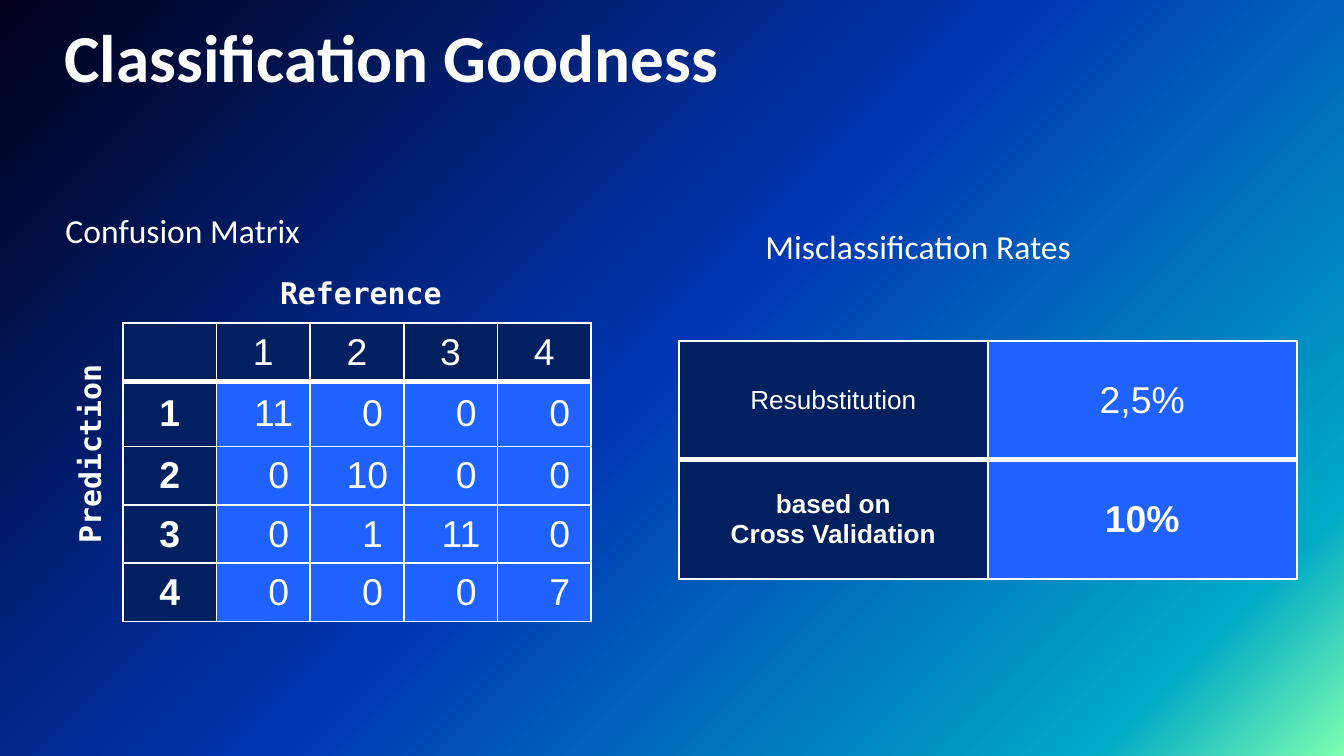
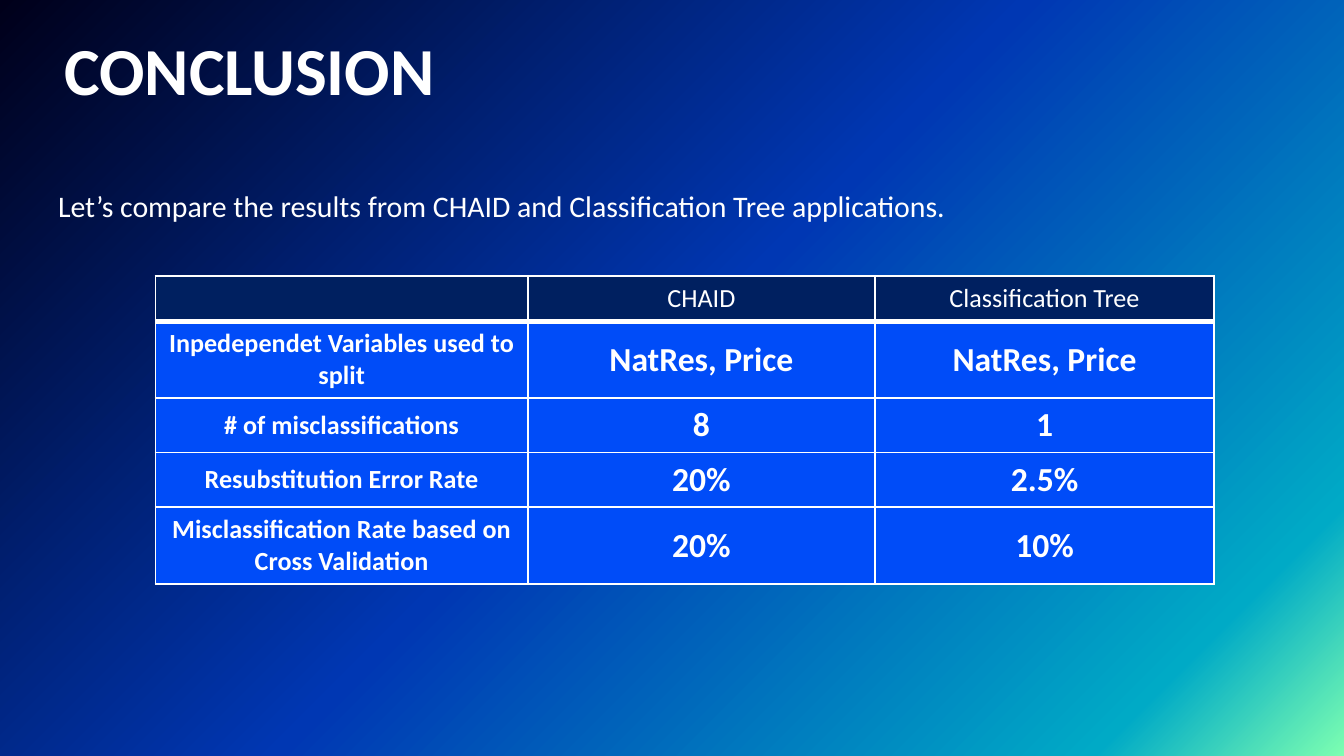
from lxml.etree import SubElement
from pptx import Presentation
from pptx.dml.color import RGBColor
from pptx.enum.text import MSO_ANCHOR, MSO_AUTO_SIZE, PP_ALIGN
from pptx.oxml.ns import qn
from pptx.util import Pt

WHITE = RGBColor(0xFF, 0xFF, 0xFF)
NAVY = RGBColor(0x00, 0x20, 0x60)
BRIGHT_BLUE = RGBColor(0x1F, 0x62, 0xFF)
ROYAL_BLUE = RGBColor(0x00, 0x4C, 0xF8)
MINT = RGBColor(0x7D, 0xFF, 0xB1)
TURQUOISE = RGBColor(0x00, 0xAA, 0xC6)
DEEP_BLUE = RGBColor(0x00, 0x37, 0xB3)
MIDNIGHT = RGBColor(0x00, 0x00, 0x1A)

BACKGROUND_STOPS = [(0, MINT), (12, TURQUOISE), (51, DEEP_BLUE), (100, MIDNIGHT)]
BODY_FONT = "Calibri"
TABLE_FONT = "Arial"
AXIS_FONT = "DejaVu Sans Mono"
CELL_MARGIN = 7.2
DIGIT_INDENT = 5.56


def add_color(parent, color):
    SubElement(parent, qn("a:srgbClr"), val=str(color))


def set_borders(cell, bottom_width):
    properties = cell._tc.get_or_add_tcPr()
    for side, width in (("L", 1), ("R", 1), ("T", 1), ("B", bottom_width)):
        line = SubElement(properties, qn(f"a:ln{side}"), w=str(Pt(width)))
        add_color(SubElement(line, qn("a:solidFill")), WHITE)


class Deck:
    def __init__(self):
        self.presentation = Presentation()
        self.presentation.slide_width = Pt(720)
        self.presentation.slide_height = Pt(405)
        self.slide = None
        self.paint_background()

    def paint_background(self):
        master = self.presentation.slide_master
        fill = master.background.fill
        fill.gradient()
        fill.gradient_angle = 135
        stops = master.element.xpath("p:cSld/p:bg//a:gsLst")[0]
        stops.clear()
        for percent, color in BACKGROUND_STOPS:
            add_color(SubElement(stops, qn("a:gs"), pos=str(percent * 1000)), color)

    def style(self, paragraph, size, font=BODY_FONT, bold=False, align=PP_ALIGN.LEFT):
        paragraph.alignment = align
        paragraph.font.name = font
        paragraph.font.size = Pt(size)
        paragraph.font.bold = bold
        paragraph.font.color.rgb = WHITE

    def place(self, shape, left, top, width, height):
        shape.left, shape.top = Pt(left), Pt(top)
        shape.width, shape.height = Pt(width), Pt(height)

    def add_slide(self, title, top, width, height):
        layout = self.presentation.slide_layouts.get_by_name("Title Only")
        self.slide = self.presentation.slides.add_slide(layout)
        heading = self.slide.shapes.title
        self.place(heading, 34.5, top, width, height)
        frame = heading.text_frame
        frame.text = title
        frame.auto_size = MSO_AUTO_SIZE.NONE
        frame.vertical_anchor = MSO_ANCHOR.TOP
        frame.margin_left = frame.margin_right = 0
        frame.margin_top = frame.margin_bottom = 0
        self.style(frame.paragraphs[0], 36, bold=True)

    def add_text(self, text, left, top, width, height, size=18,
                 font=BODY_FONT, bold=False, rotation=0):
        box = self.slide.shapes.add_textbox(Pt(left), Pt(top), Pt(width), Pt(height))
        box.rotation = rotation
        box.text_frame.word_wrap = True
        box.text_frame.text = text
        paragraph = box.text_frame.paragraphs[0]
        self.style(paragraph, size, font, bold)
        return paragraph

    def add_table(self, rows, left, top, widths, heights, font, cell_style):
        """Fill a table; cell_style(row, column) gives fill, text size and bold."""
        frame = self.slide.shapes.add_table(
            len(rows), len(widths), Pt(left), Pt(top), Pt(sum(widths)), Pt(sum(heights)))
        table = frame.table
        table.first_row = table.horz_banding = False
        for column, width in zip(table.columns, widths):
            column.width = Pt(width)
        for r, (row, height) in enumerate(zip(rows, heights)):
            table.rows[r].height = Pt(height)
            for c, text in enumerate(row):
                cell = table.cell(r, c)
                fill, size, bold = cell_style(r, c)
                set_borders(cell, 1 if r else 3)
                cell.fill.solid()
                cell.fill.fore_color.rgb = fill
                cell.vertical_anchor = MSO_ANCHOR.MIDDLE
                cell.text = text
                for paragraph in cell.text_frame.paragraphs:
                    self.style(paragraph, size, font, bold, PP_ALIGN.CENTER)
        return table


def confusion_style(row, column):
    return (BRIGHT_BLUE if row and column else NAVY), 20, row > 0 and column == 0


def rates_style(row, column):
    return (BRIGHT_BLUE, 20, row == 1) if column else (NAVY, 14, row == 1)


def comparison_style(row, column):
    if row == 0:
        return NAVY, 14, False
    return ROYAL_BLUE, 18 if column else 14, True


def build_goodness(deck):
    deck.add_slide("Classification Goodness", 8, 490, 40)
    rates_heading = deck.add_text("Misclassification Rates", 403, 120, 292, 35)
    rates_heading.line_spacing = 0.9
    rates_heading.space_before = Pt(10)
    deck.add_text("Confusion Matrix", 28, 109, 191, 29)

    rates = [["Resubstitution", "2,5%"], ["based on\nCross Validation", "10%"]]
    deck.add_table(rates, 363.7, 182.7, [165.5] * 2, [63.7] * 2, TABLE_FONT, rates_style)

    classes = ["1", "2", "3", "4"]
    counts = [[11, 0, 0, 0], [0, 10, 0, 0], [0, 1, 11, 0], [0, 0, 0, 7]]
    matrix = [["", *classes]]
    matrix += [[name, *map(str, row)] for name, row in zip(classes, counts)]
    table = deck.add_table(matrix, 65.8, 173, [50.2] * 5, [31, 35, 31, 31, 31],
                           TABLE_FONT, confusion_style)
    for r, row in enumerate(counts, 1):
        for c, count in enumerate(row, 1):
            indent = DIGIT_INDENT * (4 - len(str(count)))
            table.cell(r, c).margin_left = Pt(CELL_MARGIN + indent)

    deck.add_text("Prediction", -47.5, 189.5, 191, 26.6, 16, AXIS_FONT, True, 270)
    deck.add_text("Reference", 143, 143.5, 191, 26.6, 16, AXIS_FONT, True)


def build_conclusion(deck):
    deck.add_slide("CONCLUSION", 15, 228, 50)
    deck.add_text(
        "Let’s compare the results from CHAID and Classification Tree applications.",
        24, 97, 672, 293, 16)
    comparison = [
        ["", "CHAID", "Classification Tree"],
        ["Inpedependet Variables used to split", "NatRes, Price", "NatRes, Price"],
        ["# of misclassifications", "8", "1"],
        ["Resubstitution Error Rate", "20%", "2.5%"],
        ["Misclassification Rate based on Cross Validation", "20%", "10%"],
    ]
    deck.add_table(comparison, 83.3, 147.7, [199.5, 186, 181.7],
                   [24.3, 41.3, 29.2, 29.2, 41.3], BODY_FONT, comparison_style)


def main():
    deck = Deck()
    build_goodness(deck)
    build_conclusion(deck)
    deck.presentation.save("out.pptx")


if __name__ == "__main__":
    main()
